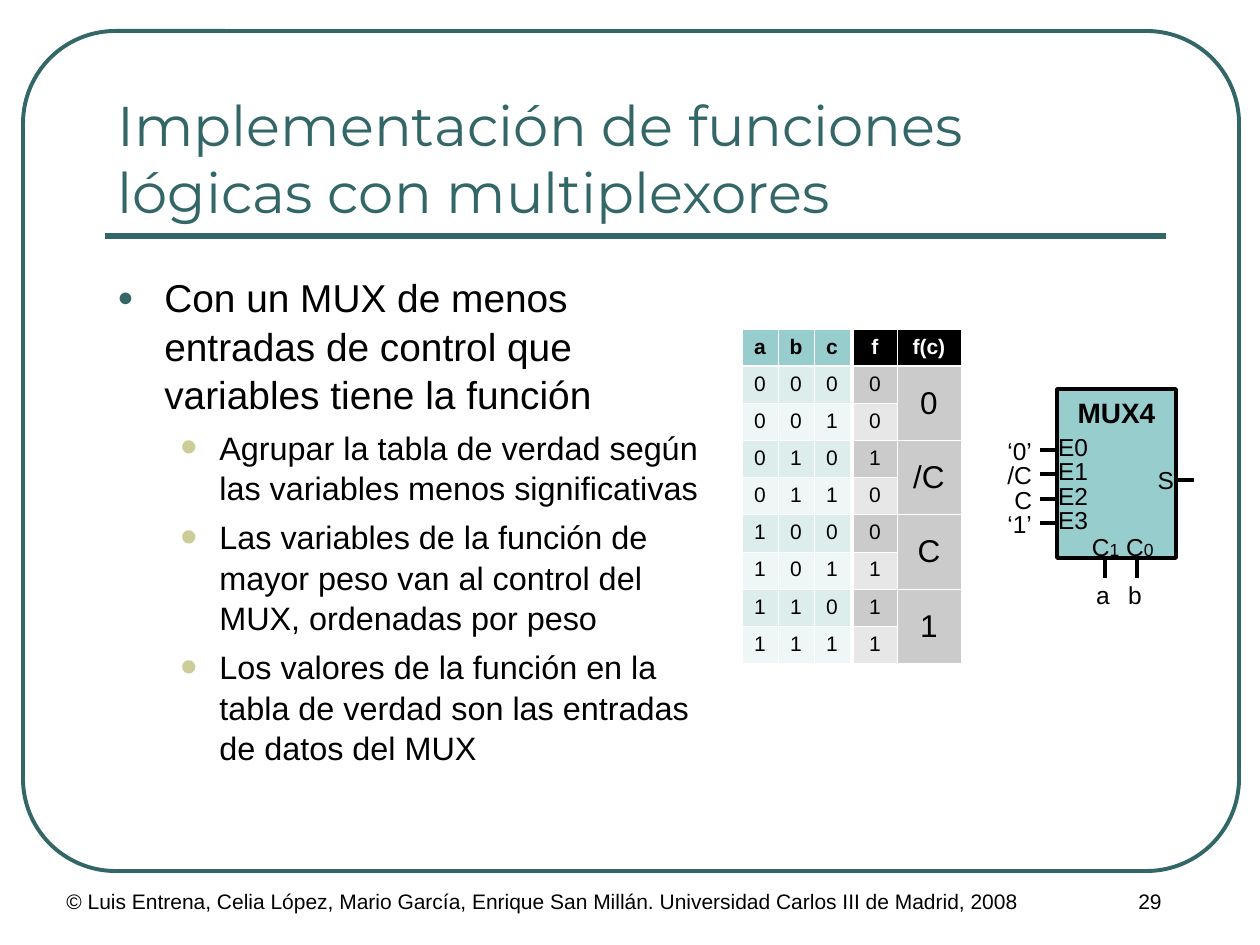
from lxml.etree import SubElement
from pptx import Presentation
from pptx.dml.color import RGBColor as Rgb
from pptx.enum.shapes import MSO_CONNECTOR as Wire, MSO_SHAPE as Kind
from pptx.enum.text import MSO_ANCHOR as Anchor, PP_ALIGN as Align
from pptx.oxml.ns import qn
from pptx.util import Pt

HUES = {
    "teal": "336666", "sand": "CCCC99", "black": "000000", "white": "FFFFFF",
    "aqua": "97CDCC", "mint": "DDEDEC", "pale": "EFF6F6",
    "grey": "CBCBCB", "light": "E7E7E7",
}


def px(n):
    return round(n * 914400 / 126)


def hue(name):
    return Rgb.from_string(HUES[name])


def add(node, tag, **attrs):
    return SubElement(node, qn(tag), attrs)


class Deck:
    face = "Arial"

    def __init__(self, wide, high):
        self.prs = Presentation()
        self.prs.slide_width, self.prs.slide_height = px(wide), px(high)
        self.slide = self.prs.slides.add_slide(self.prs.slide_layouts[5])
        self.shapes = self.slide.shapes

    def font(self, par, size, color="black", bold=False, face=None):
        font = par.font
        font.name, font.size, font.bold = face or self.face, Pt(size), bold
        font.color.rgb = hue(color)

    def title(self, text, x, y, w, h):
        box = self.shapes.title
        box.left, box.top, box.width, box.height = map(px, (x, y, w, h))
        frame = box.text_frame
        frame.text = text
        frame.word_wrap = True
        frame.vertical_anchor = Anchor.BOTTOM
        par = frame.paragraphs[0]
        par.alignment = Align.LEFT
        self.font(par, 32, "teal", face="Montserrat")

    def text(self, text, x, y, w, h, size=14, align=Align.LEFT, pad=True):
        frame = self.shapes.add_textbox(*map(px, (x, y, w, h))).text_frame
        frame.word_wrap = True
        if not pad:
            frame.margin_left = frame.margin_right = 0
            frame.margin_top = frame.margin_bottom = 0
            frame.vertical_anchor = Anchor.MIDDLE
        par = frame.paragraphs[0]
        par.text = text
        par.alignment = align
        self.font(par, size)
        return par

    def label(self, text, x, y, w, align=Align.LEFT):
        return self.text(text, x, y, w, 29, align=align, pad=False)

    def list(self, items, x, y, w, h):
        looks = [
            (47, 47, 22.2, 0, "teal", "70000", "●"),
            (102, 39, 18.5, 5, "sand", "150000", "•"),
        ]
        frame = self.shapes.add_textbox(*map(px, (x, y, w, h))).text_frame
        frame.word_wrap = True
        for i, (level, text) in enumerate(items):
            left, hang, size, gap, color, scale, mark = looks[level]
            par = frame.add_paragraph() if i else frame.paragraphs[0]
            par.text = text
            par.level = level
            props = par._p.get_or_add_pPr()
            props.set("marL", str(px(left)))
            props.set("indent", str(-px(hang)))
            add(add(props, "a:buClr"), "a:srgbClr", val=HUES[color])
            add(props, "a:buSzPct", val=scale)
            add(props, "a:buFont", typeface=self.face)
            add(props, "a:buChar", char=mark)
            par.line_spacing = 1.04
            par.space_before = Pt(gap)
            self.font(par, size)

    def shape(self, kind, x, y, w, h, line, width, fill=None):
        shape = self.shapes.add_shape(kind, *map(px, (x, y, w, h)))
        shape.shadow.inherit = False
        shape.line.color.rgb = hue(line)
        shape.line.width = Pt(width)
        if fill:
            shape.fill.solid()
            shape.fill.fore_color.rgb = hue(fill)
        else:
            shape.fill.background()
        return shape

    def line(self, x1, y1, x2, y2, color="black", width=2):
        line = self.shapes.add_connector(Wire.STRAIGHT, *map(px, (x1, y1, x2, y2)))
        line.line.color.rgb = hue(color)
        line.line.width = Pt(width)
        add(line._element.spPr, "a:effectLst")

    def cell(self, cell, text, fill, size, color, bold, row):
        cell.margin_left = cell.margin_right = px(5)
        cell.margin_top = cell.margin_bottom = px(6)
        props = cell._tc.get_or_add_tcPr()
        for side in "LRTB":
            thick = (row, side) in ((0, "B"), (1, "T"))
            edge = add(props, "a:ln" + side, w=str(Pt(1.47 if thick else 0.45)))
            add(add(edge, "a:solidFill"), "a:srgbClr", val=HUES["white"])
        cell.fill.solid()
        cell.fill.fore_color.rgb = hue(fill)
        par = cell.text_frame.paragraphs[0]
        par.text = text
        par.alignment = Align.CENTER
        self.font(par, size, color, bold)

    def table(self, rows, x, y, cols, head, bands, pairs=None):
        high = 35
        frame = self.shapes.add_table(
            len(rows), len(cols), px(x), px(y), px(sum(cols)), px(high * len(rows)))
        table = frame.table
        for col, w in zip(table.columns, cols):
            col.width = px(w)
        for r, row in enumerate(rows):
            table.rows[r].height = px(high)
            fill, color = (bands[(r - 1) % 2], "black") if r else head
            for c, text in enumerate(row):
                self.cell(table.cell(r, c), text, fill, 12, color, r == 0, r)
        for i, text in enumerate(pairs or []):
            r, c = 1 + 2 * i, len(cols) - 1
            cell = table.cell(r, c)
            cell.merge(table.cell(r + 1, c))
            cell.vertical_anchor = Anchor.MIDDLE
            self.cell(cell, text, bands[0], 18, "black", False, r)


def main():
    deck = Deck(1260, 945)
    frame = deck.shape(Kind.ROUNDED_RECTANGLE, 23, 31, 1216, 840, "teal", 2.25)
    frame.adjustments[0] = 0.11
    deck.line(105, 236, 1166, 236, "teal", 3)
    deck.title("Implementación de funciones lógicas con multiplexores", 105, 73, 1061, 158)
    deck.list([
        (0, "Con un MUX de menos entradas de control que variables tiene la función"),
        (1, "Agrupar la tabla de verdad según las variables menos significativas"),
        (1, "Las variables de la función de mayor peso van al control del MUX, ordenadas por peso"),
        (1, "Los valores de la función en la tabla de verdad son las entradas de datos del MUX"),
    ], 105, 266, 619, 557)
    deck.text("© Luis Entrena, Celia López, Mario García, Enrique San Millán. "
              "Universidad Carlos III de Madrid, 2008", 54, 882, 1071, 63, 12)
    deck.text("29", 1040, 882, 220, 63, 12, Align.CENTER)

    inputs = [list(f"{n:03b}") for n in range(8)]
    deck.table([list("abc")] + inputs, 742, 329, [36, 36, 36],
               ("aqua", "black"), ("mint", "pale"))
    deck.table([["f", "f(c)"]] + [[bit] for bit in "00100111"], 853, 329, [44, 64],
               ("black", "white"), ("grey", "light"), ["0", "/C", "C", "1"])

    mux = deck.shape(Kind.RECTANGLE, 1057, 389, 119, 169, "black", 2, "aqua")
    mux.text_frame.vertical_anchor = Anchor.TOP
    par = mux.text_frame.paragraphs[0]
    par.text = "MUX4"
    par.alignment = Align.CENTER
    deck.font(par, 16, bold=True)

    for i, text in enumerate(["‘0’", "/C", "C", "‘1’"]):
        y = 450 + 49 * i // 2
        deck.line(1040, y, 1057, y)
        deck.label(f"E{i}", 1058, y - 18, 34)
        deck.label(text, 982, y - 14, 50, Align.RIGHT)
    deck.line(1177, 480, 1194, 480)
    deck.label("S", 1144, 465, 30, Align.RIGHT)

    par = deck.label("", 1092, 532, 70)
    for text, size in [("C", 14), ("1", 10), (" C", 14), ("0", 10)]:
        run = par.add_run()
        run.text = text
        run.font.size = Pt(size)
    for text, x in [("a", 1105), ("b", 1137)]:
        deck.line(x, 578, x, 559)
        deck.label(text, x - 17, 580, 30, Align.CENTER)

    deck.prs.save("out.pptx")


if __name__ == "__main__":
    main()
